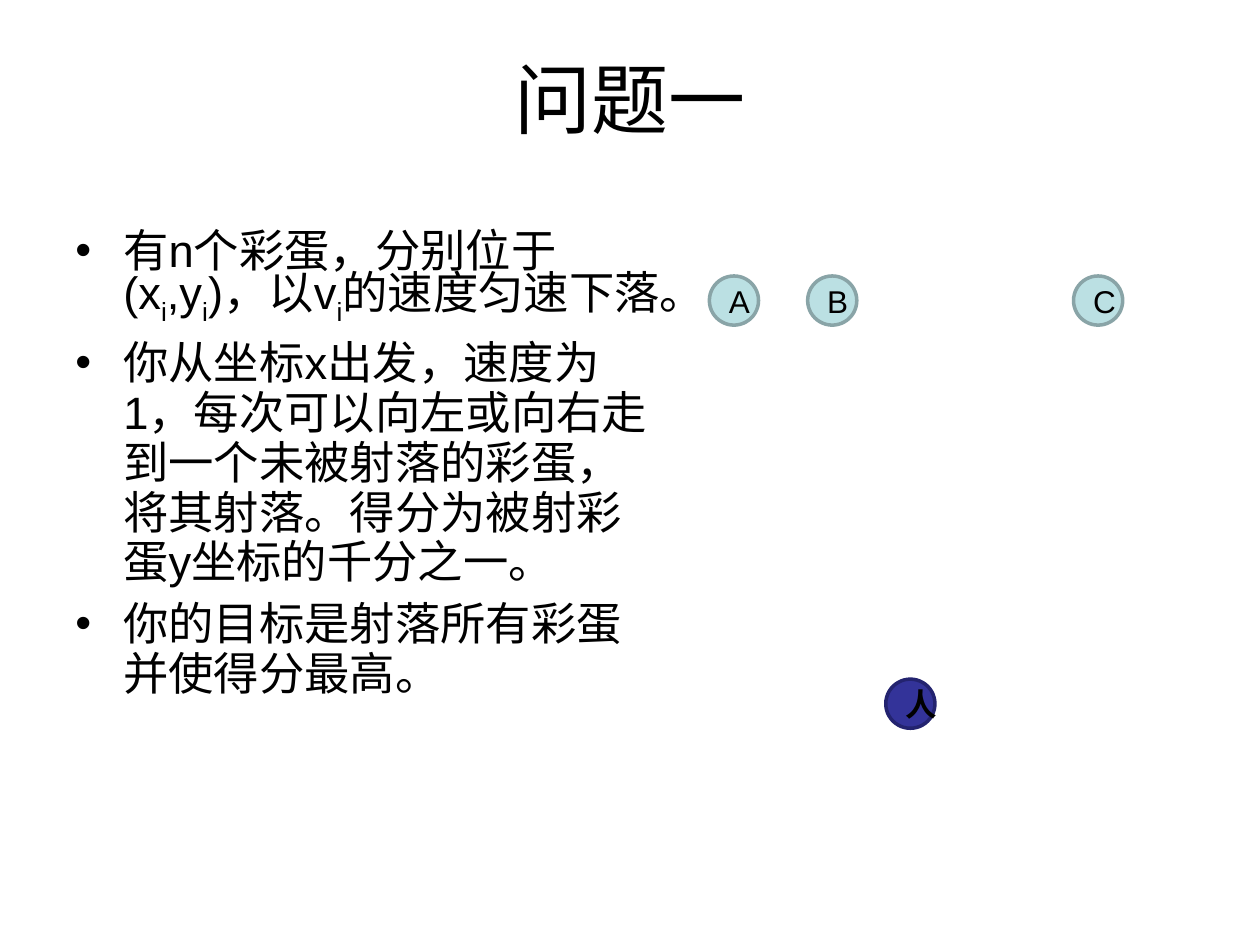
from pptx import Presentation
from pptx import util as u
from pptx.dml import color
from pptx.enum import shapes, text
from pptx.oxml.ns import qn
from lxml import etree

LATIN_FONT = "Arial"
CHINESE_FONT = "Noto Sans CJK SC"
BLACK = "000000"
EGG_SIZE = 0.39
EGG_TOP = 2.19
EGGS = [("A", 5.63), ("B", 6.41), ("C", 8.52)]
SUBSCRIPT = "i"
BULLETS = [
    ["有n个彩蛋，分别位于(x", SUBSCRIPT, ",y", SUBSCRIPT, ")，以v", SUBSCRIPT,
     "的速度匀速下落。"],
    ["你从坐标x出发，速度为1，每次可以向左或向右走到一个未被射落的彩蛋，"
     "将其射落。得分为被射彩蛋y坐标的千分之一。"],
    ["你的目标是射落所有彩蛋并使得分最高。"],
]


def rgb(value):
    return color.RGBColor.from_string(value)


def add_run(paragraph, content, size, bold=False, subscript=False):
    run = paragraph.add_run()
    run.text = content
    run.font.size = u.Pt(size)
    run.font.bold = bold
    run.font.color.rgb = rgb(BLACK)
    run.font.name = LATIN_FONT
    properties = run.font._element
    properties.find(qn("a:latin")).addnext(
        properties.makeelement(qn("a:ea"), {"typeface": CHINESE_FONT}))
    if subscript:
        properties.set("baseline", "-25000")


def add_text_frame(slide, left, top, width, height):
    box = slide.shapes.add_textbox(
        u.Inches(left), u.Inches(top), u.Inches(width), u.Inches(height))
    box.text_frame.word_wrap = True
    return box.text_frame


def add_title(slide, content):
    paragraph = add_text_frame(slide, 0.5, 0.3, 9, 1.25).paragraphs[0]
    paragraph.alignment = text.PP_ALIGN.CENTER
    paragraph.line_spacing = u.Pt(57)
    add_run(paragraph, content, 44)


def set_bullet(paragraph):
    properties = paragraph._p.get_or_add_pPr()
    indent = u.Inches(0.38)
    properties.set("marL", str(indent))
    properties.set("indent", str(-indent))
    etree.SubElement(properties, qn("a:buFont"), typeface=LATIN_FONT)
    etree.SubElement(properties, qn("a:buChar"), char="•")


def add_bullets(slide, bullets):
    frame = add_text_frame(slide, 0.5, 1.75, 4.89, 4.95)
    for index, pieces in enumerate(bullets):
        paragraph = frame.add_paragraph() if index else frame.paragraphs[0]
        paragraph.line_spacing = u.Pt(28.5)
        paragraph.space_before = u.Pt(7)
        set_bullet(paragraph)
        for piece in pieces:
            add_run(paragraph, piece, 25.9, subscript=piece == SUBSCRIPT)


def add_circle(slide, label, left, top, fill, line, bold=False):
    circle = slide.shapes.add_shape(
        shapes.MSO_SHAPE.OVAL, u.Inches(left), u.Inches(top),
        u.Inches(EGG_SIZE), u.Inches(EGG_SIZE))
    circle.shadow.inherit = False
    circle.fill.solid()
    circle.fill.fore_color.rgb = rgb(fill)
    circle.line.color.rgb = rgb(line)
    circle.line.width = u.Pt(2)
    frame = circle.text_frame
    frame.word_wrap = True
    frame.vertical_anchor = text.MSO_ANCHOR.MIDDLE
    paragraph = frame.paragraphs[0]
    paragraph.alignment = text.PP_ALIGN.CENTER
    add_run(paragraph, label, 18, bold=bold)


def main():
    presentation = Presentation()
    presentation.slide_width = u.Inches(10)
    presentation.slide_height = u.Inches(7.5)
    slide = presentation.slides.add_slide(presentation.slide_layouts[6])
    add_title(slide, "问题一")
    add_bullets(slide, BULLETS)
    for label, left in EGGS:
        add_circle(slide, label, left, EGG_TOP, "BBE0E3", "89A4A7")
    add_circle(slide, "人", 7.03, 5.39, "333399", "23236F", bold=True)
    presentation.save("out.pptx")


if __name__ == "__main__":
    main()
